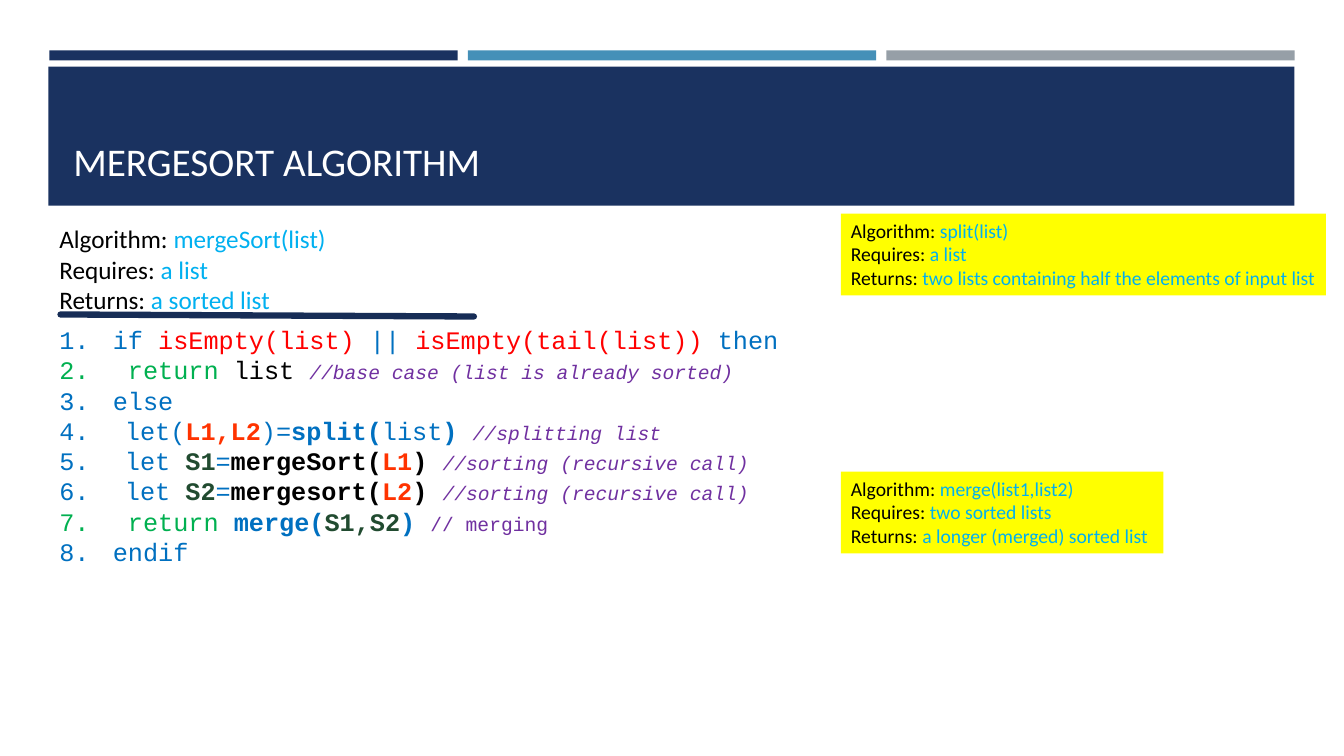
from lxml.etree import SubElement
from pptx import Presentation
from pptx.dml.color import RGBColor
from pptx.enum.shapes import MSO_CONNECTOR, MSO_SHAPE
from pptx.enum.text import MSO_ANCHOR, MSO_AUTO_SIZE, PP_ALIGN
from pptx.oxml.ns import qn
from pptx.util import Inches, Pt

NAVY = RGBColor(0x1A, 0x32, 0x60)
STEEL = RGBColor(0x45, 0x90, 0xB8)
GRAY = RGBColor(0x96, 0x9F, 0xA7)
RULE = RGBColor(0x17, 0x2D, 0x56)
WHITE = RGBColor(0xFF, 0xFF, 0xFF)
BLACK = RGBColor(0, 0, 0)
YELLOW = RGBColor(0xFF, 0xFF, 0)
SKY = RGBColor(0, 0xB0, 0xF0)
BLUE = RGBColor(0, 0x70, 0xC0)
RED = RGBColor(0xFF, 0, 0)
ORANGE = RGBColor(0xFF, 0x33, 0)
GREEN = RGBColor(0, 0xB0, 0x50)
FOREST = RGBColor(0x21, 0x4B, 0x30)
PURPLE = RGBColor(0x70, 0x30, 0xA0)

TITLE = "MERGESORT ALGORITHM"
LABELS = ("Algorithm: ", "Requires: ", "Returns: ")
SPECS = [
    ((0.49, 2.17, 2.97, 1.01), 18, None, ("mergeSort(list)", "a list", "a sorted list")),
    ((8.34, 2.12, 4.81, 0.81), 14, YELLOW,
     ("split(list)", "a list", "two lists containing half the elements of input list")),
    ((8.34, 4.68, 3.2, 0.81), 14, YELLOW,
     ("merge(list1,list2)", "two sorted lists", "a longer (merged) sorted list")),
]
CODE = [
    [(" if ", BLUE), ("isEmpty(list) ", RED), ("|| ", BLUE),
     ("isEmpty(tail(list)) ", RED), ("then", BLUE)],
    [("  return ", GREEN), ("list ", BLACK),
     ("//base case (list is already sorted)", PURPLE, "small italic")],
    [(" else", BLUE)],
    [("\t let(", BLUE), ("L1,L2", ORANGE, "bold"), (")=", BLUE), ("split(", BLUE, "bold"),
     ("list", BLUE), (") ", BLUE, "bold"), ("//splitting list", PURPLE, "small italic")],
    [("\t let ", BLUE), ("S1", FOREST, "bold"), ("=", BLUE), ("mergeSort(", BLACK, "bold"),
     ("L1", ORANGE, "bold"), (") ", BLACK, "bold"),
     ("//sorting (recursive call)", PURPLE, "small italic")],
    [("\t let ", BLUE), ("S2", FOREST, "bold"), ("=", BLUE), ("mergesort(", BLACK, "bold"),
     ("L2", ORANGE, "bold"), (") ", BLACK, "bold"),
     ("//sorting (recursive call)", PURPLE, "small italic")],
    [("  return ", GREEN), ("merge(", BLUE, "bold"), ("S1,S2", FOREST, "bold"),
     (") ", BLUE, "bold"), ("// merging", PURPLE, "small")],
    [(" endif", BLUE)],
]


def add_bar(page, place, color):
    bar = page.shapes.add_shape(MSO_SHAPE.RECTANGLE, *map(Inches, place))
    bar.shadow.inherit = False
    bar.fill.solid()
    bar.fill.fore_color.rgb = color
    bar.line.fill.background()
    return bar


def add_span(para, text, color, style="", font="Calibri", size=18):
    span = para.add_run()
    span.text = text
    span.font.name = font
    span.font.size = Pt(14 if "small" in style else size)
    span.font.bold = "bold" in style
    span.font.italic = "italic" in style
    span.font.color.rgb = color


def add_lines(box, lines, font, size, wrap, numbered=False):
    frame = box.text_frame
    frame.word_wrap = wrap
    frame.auto_size = MSO_AUTO_SIZE.SHAPE_TO_FIT_TEXT
    frame.vertical_anchor = MSO_ANCHOR.TOP
    for index, line in enumerate(lines):
        para = frame.paragraphs[0] if index == 0 else frame.add_paragraph()
        para.alignment = PP_ALIGN.LEFT
        if numbered:
            props = para._p.get_or_add_pPr()
            props.set("marL", str(Inches(0.38)))
            props.set("indent", str(-Inches(0.38)))
            SubElement(props, qn("a:buFont"), typeface="+mj-lt")
            SubElement(props, qn("a:buAutoNum"), type="arabicPeriod")
        for span in line:
            add_span(para, *span, font=font, size=size)


def add_text_box(page, place):
    return page.shapes.add_textbox(*map(Inches, place))


def main():
    """Build the mergesort algorithm slide."""
    deck = Presentation()
    deck.slide_width, deck.slide_height = Inches(13.33), Inches(7.5)
    page = deck.slides.add_slide(deck.slide_layouts[6])

    for index, color in enumerate((NAVY, STEEL, GRAY)):
        add_bar(page, (0.49 + index * 4.15, 0.5, 4.05, 0.1), color)
    add_bar(page, (0.48, 0.66, 12.36, 1.38), NAVY)

    heading = add_text_box(page, (0.63, 0.8, 12.06, 1.08)).text_frame
    heading.word_wrap = True
    heading.vertical_anchor = MSO_ANCHOR.BOTTOM
    add_span(heading.paragraphs[0], TITLE, WHITE, size=28)

    for place, size, fill, values in SPECS:
        box = add_bar(page, place, fill) if fill else add_text_box(page, place)
        lines = [[(label, BLACK), (value, SKY)] for label, value in zip(LABELS, values)]
        add_lines(box, lines, "Calibri", size, wrap=False)

    rule = page.shapes.add_connector(
        MSO_CONNECTOR.STRAIGHT, *map(Inches, (0.6, 3.12, 4.7, 3.14)))
    rule.line.color.rgb = RULE
    rule.line.width = Pt(4.5)
    rule_props = rule._element.spPr
    rule_props.find(qn("a:ln")).set("cap", "rnd")
    SubElement(rule_props, qn("a:effectLst"))

    code_box = add_text_box(page, (0.49, 3.17, 7.41, 2.52))
    add_lines(code_box, CODE, "Courier New", 18, wrap=True, numbered=True)

    deck.save("out.pptx")


if __name__ == "__main__":
    main()
